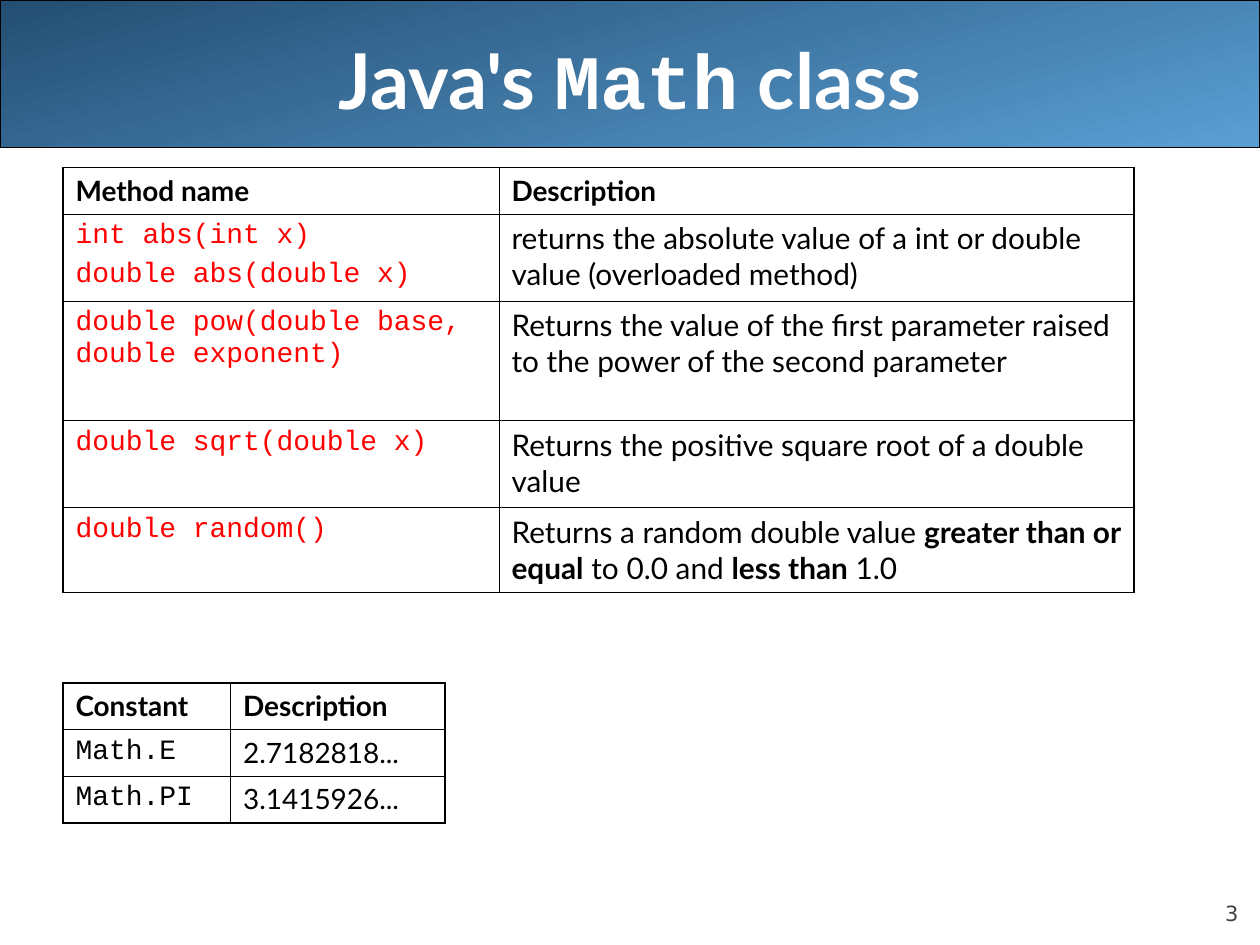
"""Build the slide on Java's Math class: a title banner and two reference tables."""
import pptx
import pptx.dml.color
import pptx.enum.shapes
import pptx.enum.text
import pptx.oxml
import pptx.oxml.ns
import pptx.util

Inches = pptx.util.Inches
Pt = pptx.util.Pt
SANS, MONO = "Lato", "Courier New"


def rgb(value):
    return pptx.dml.color.RGBColor.from_string(value)


def style(r, name, size, color, bold=False):
    r.font.name = name
    r.font.size = Pt(size)
    r.font.color.rgb = rgb(color)
    r.font.bold = bold


prs = pptx.Presentation()
prs.slide_width, prs.slide_height = Inches(10), Inches(7.5)
s = prs.slides.add_slide(prs.slide_layouts[5])

title = s.shapes.title
title.left, title.top, title.width, title.height = Inches(0.5), 0, Inches(9), Inches(1.25)
tf = title.text_frame
tf.vertical_anchor = pptx.enum.text.MSO_ANCHOR.MIDDLE
p = tf.paragraphs[0]
p.alignment = pptx.enum.text.PP_ALIGN.CENTER
for text, name in [("Java's ", SANS), ("Math", MONO), (" class", SANS)]:
    r = p.add_run()
    r.text = text
    style(r, name, 44, "FFFFFF", True)

banner = s.shapes.add_shape(
    pptx.enum.shapes.MSO_SHAPE.ROUNDED_RECTANGLE, 0, 0, Inches(10), Inches(1.17))
banner.adjustments[0] = 0
banner.shadow.inherit = False
banner.fill.gradient()
banner.fill.gradient_angle = 285
for stop, color in zip(banner.fill.gradient_stops, ["244E72", "5A9FD4"]):
    stop.color.rgb = rgb(color)
banner.line.color.rgb = rgb("000000")
banner.line.width = Pt(0.75)
title.element.addprevious(banner.element)

number = s.shapes.add_textbox(Inches(9), Inches(6.95), Inches(0.83), Inches(0.4))
tf = number.text_frame
tf.word_wrap = True
tf.margin_left = tf.margin_top = tf.margin_right = tf.margin_bottom = 0
tf.vertical_anchor = pptx.enum.text.MSO_ANCHOR.BOTTOM
p = tf.paragraphs[0]
p.text = "3"
p.alignment = pptx.enum.text.PP_ALIGN.RIGHT
style(p.runs[0], "DejaVu Sans", 12, "424242")

methods = [
    ("Method name", "Description"),
    ("int abs(int x)\ndouble abs(double x)",
     "returns the absolute value of a int or double value (overloaded method)"),
    ("double pow(double base, double exponent)",
     "Returns the value of the first parameter raised to the power of the second parameter"),
    ("double sqrt(double x)", "Returns the positive square root of a double value"),
    ("double random()",
     "Returns a random double value *greater than or equal* to 0.0 and *less than *1.0"),
]
constants = [
    ("Constant", "Description"),
    ("Math.E", "2.7182818..."),
    ("Math.PI", "3.1415926..."),
]
tables = [
    (methods, 1.33, [3.46, 5.04], [0.37, 0.69, 0.95, 0.69, 0.67], "FF0000", 17, 0.45),
    (constants, 5.42, [1.33, 1.7], [0.37] * 3, "000000", 16, 1.08),
]

for rows, top, widths, heights, code_color, text_size, bottom in tables:
    frame = s.shapes.add_table(len(rows), len(widths), Inches(0.5), Inches(top),
                               Inches(sum(widths)), Inches(sum(heights)))
    table = frame.table
    table.horz_banding = False
    for column, width in zip(table.columns, widths):
        column.width = Inches(width)
    for row, height in zip(table.rows, heights):
        row.height = Inches(height)
    for i, row in enumerate(rows):
        for j, content in enumerate(row):
            cell = table.cell(i, j)
            borders = {
                "L": 1.08 if j == 0 else 0.45,
                "R": 1.08 if j == len(row) - 1 else 0.45,
                "T": 1.08 if i == 0 else 0.45,
                "B": bottom if i == len(rows) - 1 else 0.45,
            }
            tcPr = cell._tc.get_or_add_tcPr()
            for side, points in borders.items():
                tcPr.append(pptx.oxml.parse_xml(
                    f'<a:ln{side} {pptx.oxml.ns.nsdecls("a")} w="{Pt(points)}">'
                    '<a:solidFill><a:srgbClr val="000000"/></a:solidFill>'
                    f'</a:ln{side}>'))
            cell.fill.solid()
            cell.fill.fore_color.rgb = rgb("FFFFFF")
            if i == 0:
                name, size, color = SANS, 16, "000000"
            elif j == 0:
                name, size, color = MONO, 16, code_color
            else:
                name, size, color = SANS, text_size, "000000"
            tf = cell.text_frame
            for k, line in enumerate(content.split("\n")):
                p = tf.add_paragraph() if k else tf.paragraphs[0]
                p.space_before = Pt(4)
                for n, text in enumerate(line.split("*")):
                    r = p.add_run()
                    r.text = text
                    style(r, name, size, color, i == 0 or n % 2 == 1)

prs.save("out.pptx")
